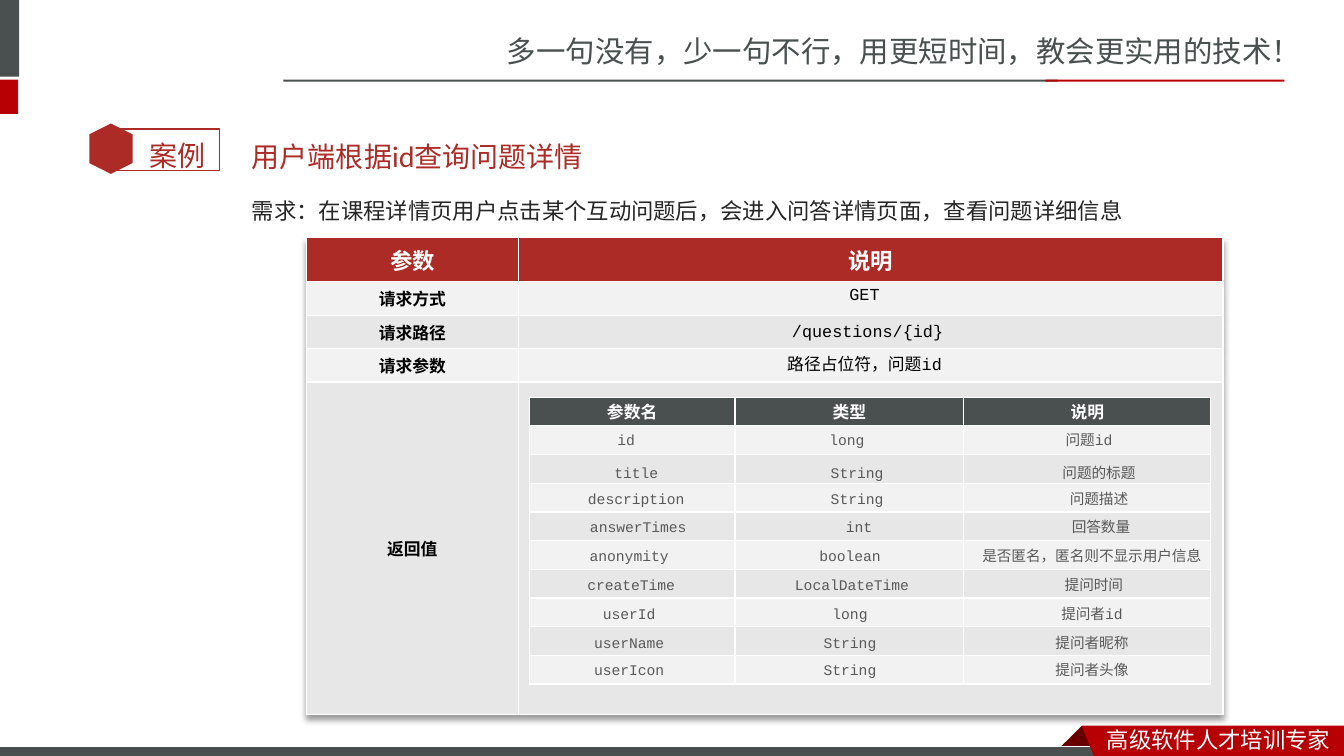
from dataclasses import dataclass
from typing import Optional

from lxml import etree
from pptx import Presentation
from pptx import util as u
from pptx.dml.color import RGBColor
from pptx.enum import shapes, text
from pptx.oxml import ns

WHITE = RGBColor(0xFF, 0xFF, 0xFF)
BLACK = RGBColor(0, 0, 0)
SLATE = RGBColor(0x49, 0x50, 0x4F)
RED = RGBColor(0xB6, 0x00, 0x04)
DARK_RED = RGBColor(0x68, 0x00, 0x00)
BRICK = RGBColor(0xAD, 0x2B, 0x26)
INK = RGBColor(0x26, 0x26, 0x26)
GREY = RGBColor(0x59, 0x59, 0x59)
BANDS = (RGBColor(0xF2, 0xF2, 0xF2), RGBColor(0xE7, 0xE7, 0xE7))
MONO, SANS, SANS_JP = "Courier New", "Noto Sans CJK SC", "Noto Sans CJK JP"
CENTER = text.PP_ALIGN.CENTER
MIDDLE = text.MSO_ANCHOR.MIDDLE


@dataclass
class Box:
    left: float
    top: float
    width: float
    height: float

    def lengths(self) -> tuple:
        return tuple(map(u.Inches, (self.left, self.top, self.width, self.height)))


@dataclass
class Block:
    box: Box
    fill: Optional[RGBColor] = None
    line: Optional[RGBColor] = None
    line_width: float = 1
    kind: shapes.MSO_SHAPE = shapes.MSO_SHAPE.RECTANGLE
    rotation: float = 0


@dataclass
class Field:
    name: str
    type: str
    meaning: str
    top: float
    shift: float = 0
    meaning_width: float = 1.89


deck = Presentation()
deck.slide_width, deck.slide_height = u.Inches(13.33), u.Inches(7.5)
slide = deck.slides.add_slide(deck.slide_layouts[6])


def write(frame, words: str, *, size: float, font: str, color: RGBColor,
          bold: bool = False, align=None, spacing=None, before=None) -> None:
    paragraph = frame.paragraphs[0]
    paragraph.alignment = align
    paragraph.line_spacing = spacing
    if before:
        paragraph.space_before = u.Pt(before)
    run = paragraph.add_run()
    run.text = words
    run.font.size, run.font.name, run.font.bold = u.Pt(size), font, bold
    run.font.color.rgb = color
    east_asian = etree.SubElement(run.font._element, ns.qn("a:ea"))
    east_asian.set("typeface", SANS_JP if font == SANS_JP else SANS)


def label(box: Box, words: str, *, anchor=text.MSO_ANCHOR.TOP,
          grow: bool = True, **style) -> None:
    frame = slide.shapes.add_textbox(*box.lengths()).text_frame
    frame.word_wrap = True
    frame.vertical_anchor = anchor
    if grow:
        frame.auto_size = text.MSO_AUTO_SIZE.SHAPE_TO_FIT_TEXT
    write(frame, words, **style)


def paint(shape, fill: Optional[RGBColor], line: Optional[RGBColor] = None,
          line_width: float = 1) -> None:
    shape.shadow.inherit = False
    if fill is None:
        shape.fill.background()
    else:
        shape.fill.solid()
        shape.fill.fore_color.rgb = fill
    if line is None:
        shape.line.fill.background()
    else:
        shape.line.color.rgb = line
        shape.line.width = u.Pt(line_width)


def draw(block: Block) -> None:
    shape = slide.shapes.add_shape(block.kind, *block.box.lengths())
    shape.rotation = block.rotation
    paint(shape, block.fill, block.line, block.line_width)


def outline(points: list, fill: RGBColor) -> None:
    """Draw a closed outline from points in hundredths of an inch."""
    builder = slide.shapes.build_freeform(*points[0], scale=u.Inches(0.01))
    builder.add_line_segments(points[1:])
    paint(builder.convert_to_shape(), fill)


def grid(box: Box, widths: list, heights: list, headings: list, row_names: list,
         head_fill: RGBColor, head_size: float, margin: float):
    """Draw a banded table with bold headings and optional row names."""
    table = slide.shapes.add_table(len(heights), len(widths), *box.lengths()).table
    for column, width in zip(table.columns, widths):
        column.width = u.Inches(width)
    for r, height in enumerate(heights):
        table.rows[r].height = u.Inches(height)
        for c, cell in enumerate(table.rows[r].cells):
            cell.vertical_anchor = MIDDLE
            cell.margin_top = cell.margin_bottom = u.Inches(margin)
            cell.fill.solid()
            cell.fill.fore_color.rgb = BANDS[(r - 1) % 2] if r else head_fill
            if r == 0:
                write(cell.text_frame, headings[c], size=head_size, font=MONO,
                      color=WHITE, bold=True, align=CENTER)
            elif c == 0 and row_names:
                write(cell.text_frame, row_names[r - 1], size=12, font=MONO,
                      color=BLACK, bold=True, align=CENTER)
            else:
                end = etree.SubElement(cell.text_frame.paragraphs[0]._p, ns.qn("a:endParaRPr"))
                end.set("sz", "800")
    return table


def add_shadow(table) -> None:
    effects = etree.Element(ns.qn("a:effectLst"))
    shadow = etree.SubElement(effects, ns.qn("a:outerShdw"), blurRad="50800",
                              dist="38100", dir="5400000", algn="t", rotWithShape="0")
    color = etree.SubElement(shadow, ns.qn("a:prstClr"), val="black")
    etree.SubElement(color, ns.qn("a:alpha"), val="40000")
    table._tbl.tblPr.insert(0, effects)


# Header
label(Box(4.93, 0.28, 8.41, 0.47), "多一句没有，少一句不行，用更短时间，教会更实用的技术！",
      size=21, font=SANS, color=SLATE)
for bar in (Block(Box(-0.06, 0, 0.25, 0.76), SLATE),
            Block(Box(-0.06, 0.79, 0.24, 0.34), RED),
            Block(Box(2.81, 0.79, 7.68, 0.02), SLATE),
            Block(Box(10.37, 0.79, 2.37, 0.02), RED)):
    draw(bar)

# Footer
outline([(1073, 720), (1095, 742), (1094, 743), (1052, 743), (1051, 742)], DARK_RED)
draw(Block(Box(-0.01, 7.41, 11, 0.12), SLATE, WHITE, 0.75))
outline([(1073, 720), (1333, 720), (1333, 754), (1086, 753)], RED)
label(Box(10.88, 7.15, 2.45, 0.37), "高级软件人才培训专家", size=16, font=SANS, color=WHITE)

# Case badge, title and requirement
draw(Block(Box(1.09, 1.28, 1.09, 0.41), line=BRICK))
draw(Block(Box(0.85, 1.26, 0.5, 0.43), BRICK, kind=shapes.MSO_SHAPE.HEXAGON, rotation=90))
label(Box(1.38, 1.16, 0.85, 0.56), "案例", size=20, font="Calibri", color=BRICK, spacing=1.5)
label(Box(2.4, 1.03, 6.53, 0.7), "用户端根据id查询问题详情", size=20, font="Lato",
      color=BRICK, anchor=MIDDLE, grow=False, spacing=2.0, before=4)
label(Box(2.4, 1.77, 10.08, 0.71),
      "需求：在课程详情页用户点击某个互动问题后，会进入问答详情页面，查看问题详细信息",
      size=16, font=SANS_JP, color=INK, grow=False, spacing=1.5, before=3)

# Request table
request = grid(Box(3.04, 2.36, 9.09, 4.73), [2.1, 6.99], [0.43, 0.34, 0.33, 0.33, 3.3],
               ["参数", "说明"], ["请求方式", "请求路径", "请求参数", "返回值"], BRICK, 16, 0.04)
add_shadow(request)
for box, value in ((Box(7.61, 2.77, 1.93, 0.3), "GET"),
                   (Box(6.89, 3.13, 3.43, 0.3), "/questions/{id}"),
                   (Box(6.86, 3.46, 3.43, 0.3), "路径占位符，问题id")):
    label(box, value, size=12, font=MONO, color=BLACK, align=CENTER)

# Returned fields
grid(Box(5.25, 3.94, 6.76, 2.85), [2.04, 2.27, 2.45], [0.285] * 10,
     ["参数名", "类型", "说明"], [], SLATE, 12, 0.02)
FIELDS = [
    Field("id", "long", "问题id", 4.22, -0.03),
    Field("title", "String", "问题的标题", 4.55, 0.07),
    Field("description", "String", "问题描述", 4.81, 0.07),
    Field("answerTimes", "int", "回答数量", 5.09, 0.09),
    Field("anonymity", "boolean", "是否匿名，匿名则不显示用户信息", 5.38, meaning_width=2.4),
    Field("createTime", "LocalDateTime", "提问时间", 5.66, 0.02),
    Field("userId", "long", "提问者id", 5.95),
    Field("userName", "String", "提问者昵称", 6.24),
    Field("userIcon", "String", "提问者头像", 6.51),
]
for field in FIELDS:
    for center, width, value in ((6.24, 1.99, field.name), (8.43, 1.89, field.type),
                                 (10.83, field.meaning_width, field.meaning)):
        label(Box(center + field.shift - width / 2, field.top, width, 0.28), value,
              size=10.5, font=MONO, color=GREY, align=CENTER)

deck.save("out.pptx")
